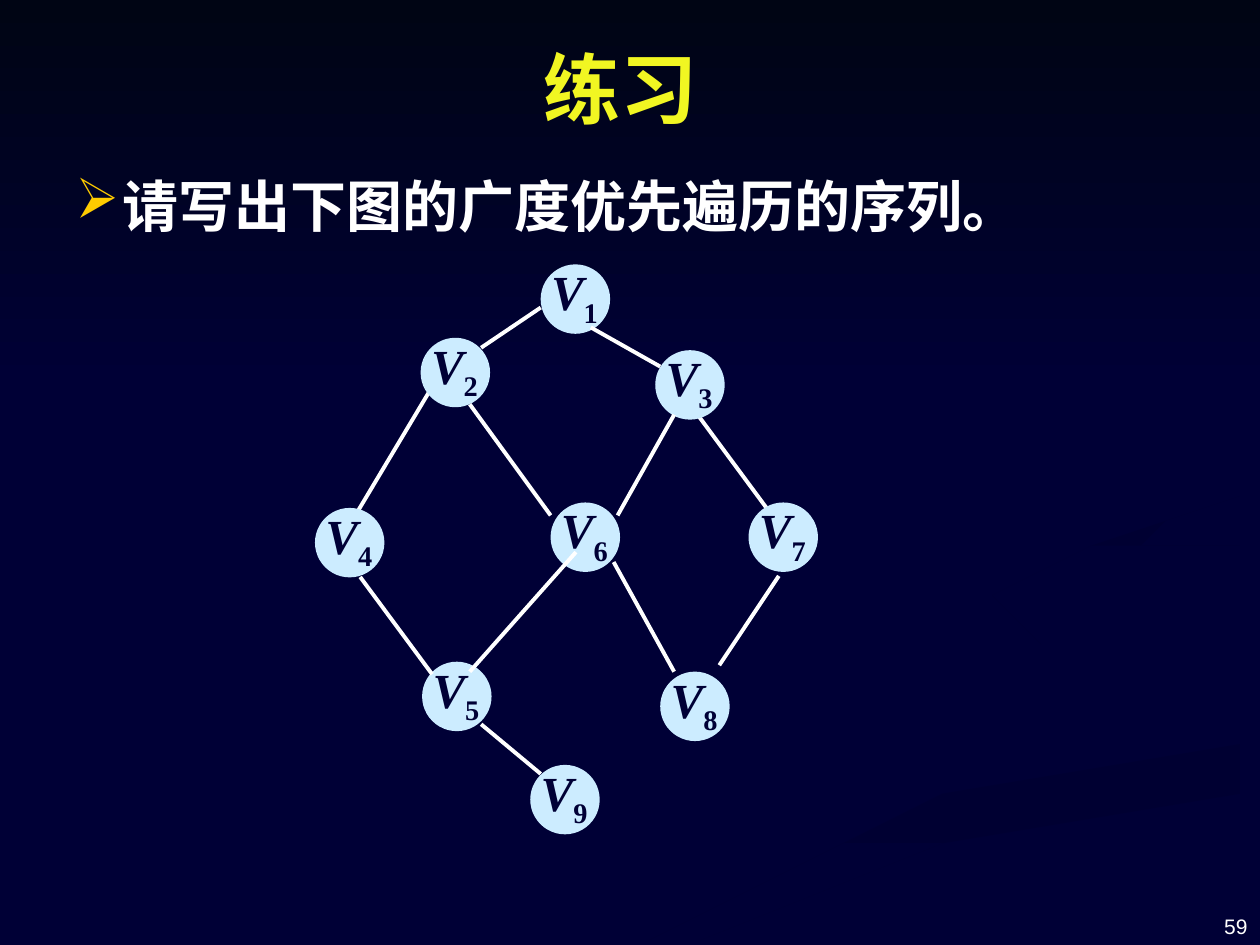
from lxml.etree import SubElement
from pptx import Presentation
from pptx.dml.color import RGBColor
from pptx.enum.shapes import MSO_CONNECTOR, MSO_SHAPE
from pptx.enum.text import MSO_ANCHOR, MSO_AUTO_SIZE, PP_ALIGN
from pptx.oxml.ns import qn
from pptx.util import Cm, Pt

NAVY = RGBColor(0x00, 0x00, 0x36)
DARK = RGBColor(0x00, 0x00, 0x32)
NIGHT = RGBColor(0x00, 0x05, 0x14)
SKY = RGBColor(0xCC, 0xEC, 0xFF)
WHITE = RGBColor(0xFF, 0xFF, 0xFF)
LEMON = RGBColor(0xF1, 0xF6, 0x22)
GOLD = RGBColor(0xFF, 0xCC, 0x00)
SERIF, SANS = "Times New Roman", "Arial"

# Background waves: gradient angle, outline
WAVES = [
    (270, [(12.8, 19), (14.5, 19), (19.1, 17.1), (25.3, 15.5),
           (25.3, 14.8), (19.4, 16.4), (15.2, 17.9)]),
    (315, [(19.8, 11.7), (21, 12.6), (20.5, 11.8), (22.3, 11.2),
           (25.3, 10.7), (25.3, 10.2), (22, 10.8)]),
]

# Vertex number: left, top
NODES = {
    1: (10.9, 5.33), 2: (8.48, 6.81), 3: (13.21, 7.06),
    4: (6.35, 10.24), 5: (8.51, 13.34), 6: (11.1, 10.13),
    7: (15.09, 10.13), 8: (13.31, 13.54), 9: (10.69, 15.42),
}
# Edges: x1, y1, x2, y2, those below the vertices and those above
BELOW = [
    (14.1, 8.41, 15.6, 10.44),
    (8.71, 7.8, 7.21, 10.31),
]
ABOVE = [
    (9.47, 8.15, 11.1, 10.39),
    (13.59, 8.36, 12.45, 10.39),
    (7.26, 11.63, 8.71, 13.59),
    (9.47, 13.54, 11.61, 11.13),
    (15.7, 11.61, 14.5, 13.41),
    (10.9, 15.6, 9.7, 14.6),
    (11.91, 6.6, 13.31, 7.39),
    (10.9, 6.2, 9.7, 7.01),
    (12.37, 11.33, 13.59, 13.54),
]


class Deck:
    def __init__(self):
        self.prs = Presentation()
        self.prs.slide_width, self.prs.slide_height = Cm(25.4), Cm(19.05)
        self.slide = self.prs.slides.add_slide(self.prs.slide_layouts[5])
        self.shapes = self.slide.shapes
        fill = self.slide.background.fill
        fill.solid()
        fill.fore_color.rgb = NAVY

    def fade(self, shape, first, angle):
        shape.shadow.inherit = False
        shape.line.fill.background()
        shape.fill.gradient()
        shape.fill.gradient_angle = angle
        for stop, color in zip(shape.fill.gradient_stops, (first, NAVY)):
            stop.color.rgb = color

    def wave(self, angle, points):
        form = self.shapes.build_freeform(*points[0], scale=Cm(1))
        form.add_line_segments(points[1:], close=True)
        self.fade(form.convert_to_shape(), DARK, angle)

    def band(self, width, height):
        rect = self.shapes.add_shape(
            MSO_SHAPE.RECTANGLE, 0, 0, Cm(width), Cm(height))
        self.fade(rect, NIGHT, 270)

    def run(self, para, text, size, color, bold=True, font=SERIF):
        run = para.add_run()
        run.text = text
        run.font.name, run.font.size = font, Pt(size)
        run.font.bold = bold
        run.font.color.rgb = color
        return run

    def title(self, text, *place):
        title = self.shapes.title
        self.shapes.element.append(title.element)  # in front of the band
        title.left, title.top, title.width, title.height = map(Cm, place)
        frame = title.text_frame
        frame.auto_size = MSO_AUTO_SIZE.NONE
        frame.vertical_anchor = MSO_ANCHOR.MIDDLE
        para = frame.paragraphs[0]
        para.alignment = PP_ALIGN.CENTER
        self.run(para, text, 44, LEMON)

    def box(self, *place):
        frame = self.shapes.add_textbox(*map(Cm, place)).text_frame
        frame.word_wrap = True
        return frame

    def bullet(self, text, *place):
        para = self.box(*place).paragraphs[0]
        props = para._p.get_or_add_pPr()
        props.set("marL", str(Cm(0.95)))
        props.set("indent", str(Cm(-0.95)))
        tint = SubElement(props, qn("a:buClr"))
        SubElement(tint, qn("a:srgbClr"), val=str(GOLD))
        SubElement(props, qn("a:buChar"), char="➢")
        self.run(para, text, 32, WHITE)

    def number(self, text, *place):
        frame = self.box(*place)
        frame.vertical_anchor = MSO_ANCHOR.BOTTOM
        para = frame.paragraphs[0]
        para.alignment = PP_ALIGN.RIGHT
        self.run(para, text, 12, WHITE, False, SANS)

    def node(self, num, left, top):
        disc = self.shapes.add_shape(
            MSO_SHAPE.OVAL, Cm(left), Cm(top), Cm(1.4), Cm(1.4))
        disc.shadow.inherit = False
        disc.fill.solid()
        disc.fill.fore_color.rgb = SKY
        disc.line.fill.background()
        frame = self.box(left + 0.18, top - 0.13, 1.3, 1.65)
        frame.margin_left = frame.margin_bottom = Cm(0.03)
        frame.margin_top, frame.margin_right = Cm(0.08), 0
        para = frame.paragraphs[0]
        para.alignment = PP_ALIGN.JUSTIFY
        self.run(para, "V", 28, NAVY).font.italic = True
        sub = self.run(para, str(num), 28, NAVY)
        sub._r.get_or_add_rPr().set("baseline", "-25000")

    def edge(self, *ends):
        line = self.shapes.add_connector(MSO_CONNECTOR.STRAIGHT, *map(Cm, ends))
        line.line.color.rgb = WHITE
        line.line.width = Pt(2.25)
        SubElement(line._element.spPr, qn("a:effectLst"))


def main():
    deck = Deck()
    # Background
    for wave in WAVES:
        deck.wave(*wave)
    deck.band(25.4, 7.82)
    # Text
    deck.number("59", 19.48, 17.73, 5.92, 1.32)
    deck.title("练习", 1.09, 0.41, 22.86, 2.72)
    deck.bullet("请写出下图的广度优先遍历的序列。", 1.27, 3.33, 22.86, 14.81)
    # Graph
    for ends in BELOW:
        deck.edge(*ends)
    for num, spot in NODES.items():
        deck.node(num, *spot)
    for ends in ABOVE:
        deck.edge(*ends)
    deck.prs.save("out.pptx")


if __name__ == "__main__":
    main()
